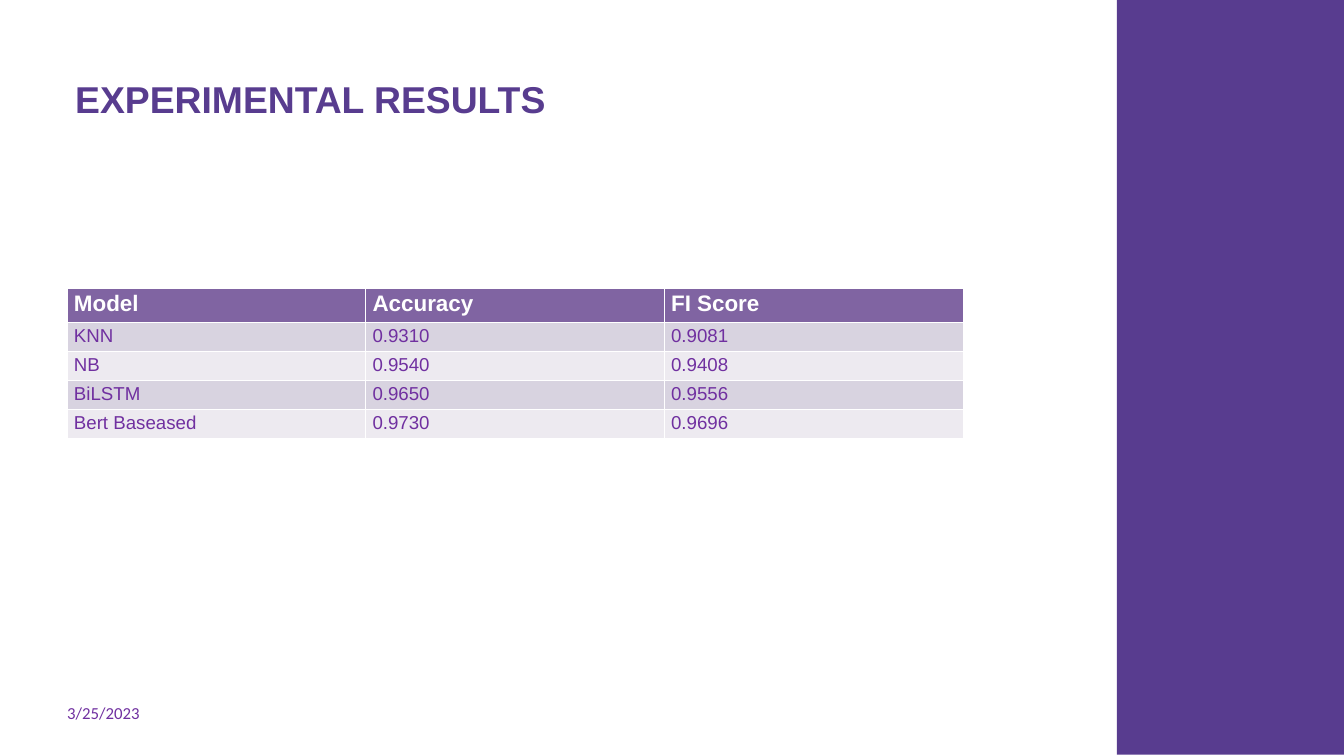
from pptx import Presentation
from pptx import util as u
from pptx.dml.color import RGBColor
from pptx.enum import shapes, text

WHITE = RGBColor(0xFF, 0xFF, 0xFF)
PURPLE = RGBColor(0x58, 0x3C, 0x8F)
VIOLET = RGBColor(0x70, 0x30, 0xA0)
HEADER = RGBColor(0x80, 0x64, 0xA2)
BANDS = (RGBColor(0xED, 0xEA, 0xF0), RGBColor(0xD8, 0xD3, 0xE0))

RESULTS = (
    ("Model", "Accuracy", "FI Score"),
    ("KNN", "0.9310", "0.9081"),
    ("NB", "0.9540", "0.9408"),
    ("BiLSTM", "0.9650", "0.9556"),
    ("Bert Baseased", "0.9730", "0.9696"),
)


class SlideBuilder:
    def __init__(self, slide, font="Arial"):
        self.slide = slide
        self.font = font

    def set_text(self, frame, wording, size, color, bold=False, font=None):
        frame.text = wording
        paragraph = frame.paragraphs[0]
        paragraph.alignment = text.PP_ALIGN.LEFT
        style = paragraph.runs[0].font
        style.name = font or self.font
        style.size = u.Pt(size)
        style.bold = bold
        style.color.rgb = color
        return paragraph

    def fit(self, frame, left=0, top=0):
        """Wrap from the top left corner, with only the given margins."""
        frame.word_wrap = True
        frame.auto_size = text.MSO_AUTO_SIZE.SHAPE_TO_FIT_TEXT
        frame.vertical_anchor = text.MSO_ANCHOR.TOP
        frame.margin_left, frame.margin_top = u.Inches(left), u.Inches(top)
        frame.margin_right = frame.margin_bottom = 0

    def band(self, *box):
        band = self.slide.shapes.add_shape(
            shapes.MSO_SHAPE.RECTANGLE, *map(u.Inches, box))
        band.shadow.inherit = False
        band.fill.solid()
        band.fill.fore_color.rgb = PURPLE
        band.line.fill.background()

    def title(self, wording, *box):
        title = self.slide.shapes.title
        title.left, title.top, title.width, title.height = map(u.Inches, box)
        self.fit(title.text_frame, left=0.01, top=0.02)
        heading = self.set_text(title.text_frame, wording, 40, PURPLE, bold=True)
        heading.line_spacing = u.Pt(48.6)

    def table(self, rows, left, top, width, header_height, row_height):
        height = header_height + row_height * (len(rows) - 1)
        table = self.slide.shapes.add_table(
            len(rows), len(rows[0]), *map(u.Inches, (left, top, width, height))).table
        for r, row in enumerate(rows):
            is_header = r == 0
            table.rows[r].height = u.Inches(header_height if is_header else row_height)
            for c, wording in enumerate(row):
                cell = table.cell(r, c)
                cell.fill.solid()
                cell.fill.fore_color.rgb = HEADER if is_header else BANDS[r % 2]
                self.set_text(cell.text_frame, wording, 24 if is_header else 20,
                              WHITE if is_header else VIOLET, bold=is_header)

    def date(self, wording, *box):
        date = self.slide.shapes.add_textbox(*map(u.Inches, box))
        self.fit(date.text_frame)
        self.set_text(date.text_frame, wording, 18, VIOLET, font="Calibri")


def main():
    deck = Presentation()
    deck.slide_width, deck.slide_height = u.Inches(20), u.Inches(11.25)
    title_only = deck.slide_layouts[5]
    page = SlideBuilder(deck.slides.add_slide(title_only))
    page.band(16.62, 0, 3.38, 11.23)
    page.title("EXPERIMENTAL RESULTS", 1.11, 1.1, 8.89, 0.66)
    page.table(RESULTS, 1, 4.29, 13.33, header_height=0.49, row_height=0.43)
    page.date("3/25/2023", 1, 10.46, 4.6, 0.3)
    deck.save("out.pptx")


if __name__ == "__main__":
    main()
